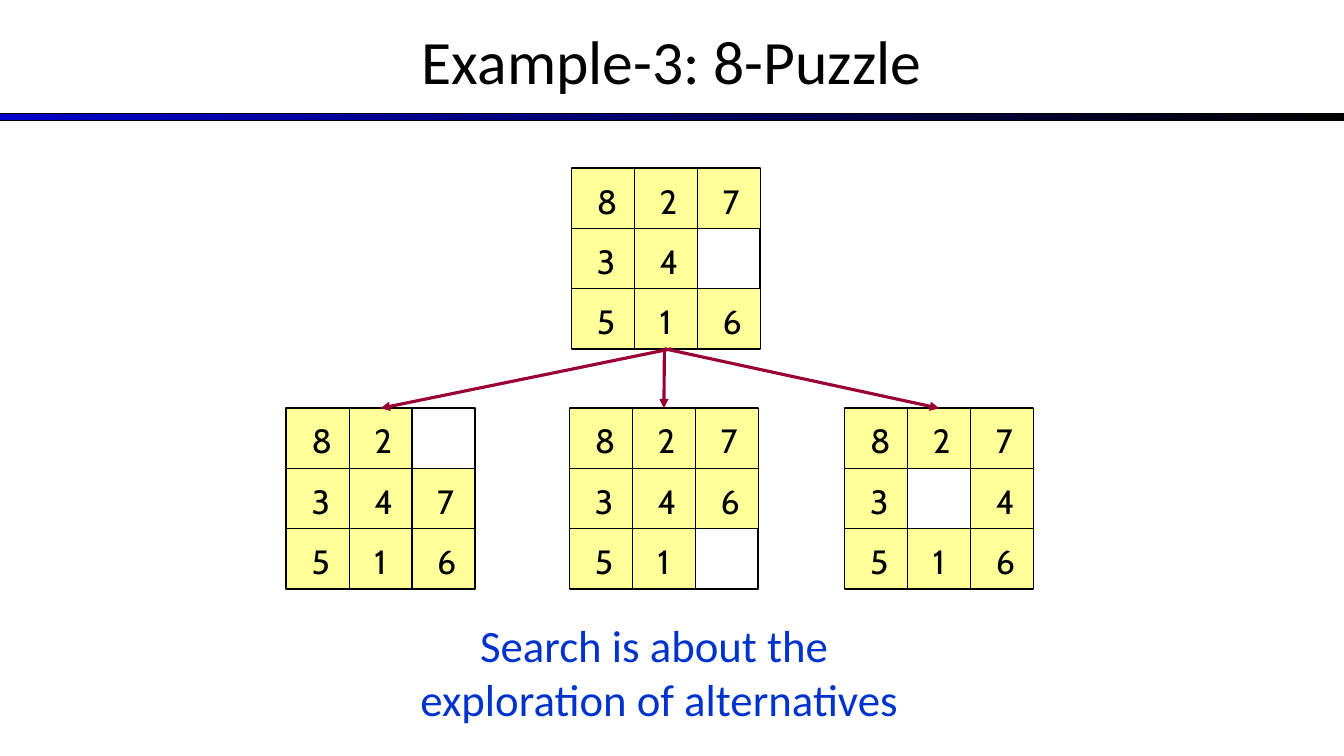
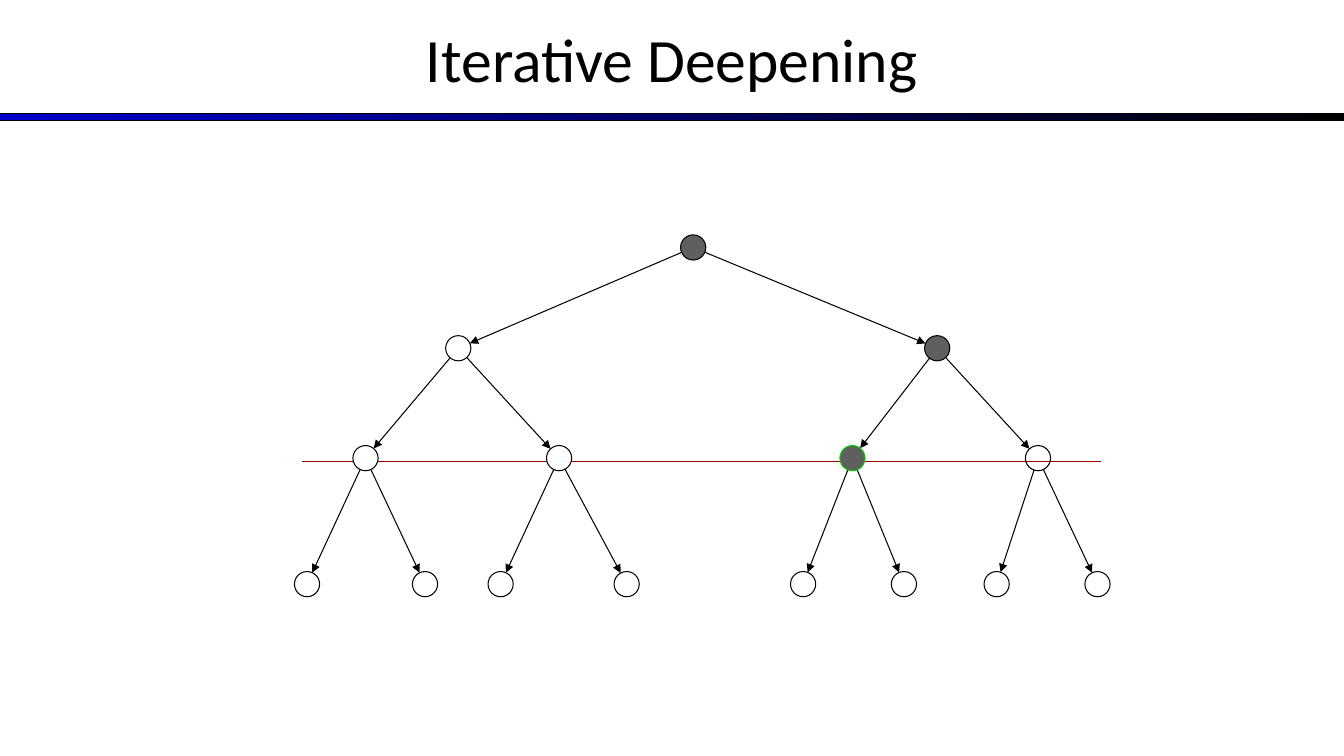
from dataclasses import dataclass
from math import hypot
from typing import NamedTuple, Optional

from lxml.etree import SubElement
from pptx import Presentation
from pptx.dml.color import RGBColor
from pptx.enum.shapes import MSO_CONNECTOR, MSO_SHAPE
from pptx.enum.text import MSO_ANCHOR, PP_ALIGN
from pptx.oxml.ns import qn
from pptx.util import Inches, Pt

COLORS = {
    "black": "000000",
    "white": "FFFFFF",
    "band": "0000CC",
    "tile": "FFFF99",
    "move": "990033",
    "message": "0033CC",
    "visited": "5F5F5F",
    "goal": "00CC00",
    "limit": "990000",
}
SLIDE_W, SLIDE_H = 13.33, 7.5
BOARD_W, BOARD_H = 1.87, 1.79
TILE_W, TILE_H = BOARD_W / 3, BOARD_H / 3
NODE_SIZE = 0.25
LEVEL_TOPS = (2.33, 3.33, 4.42, 5.67)


class Point(NamedTuple):
    x: float
    y: float


@dataclass
class Board:
    left: float
    top: float
    rows: tuple[str, str, str]
    arrow_from: Optional[float] = None


@dataclass
class Node:
    left: float
    fill: Optional[str] = "white"
    line: str = "black"


BOARDS = (
    Board(5.67, 1.67, ("827", "34 ", "516")),
    Board(2.84, 4.05, ("82 ", "347", "516"), 6.66),
    Board(5.65, 4.05, ("827", "346", "51 "), 6.59),
    Board(8.38, 4.05, ("827", "3 4", "516"), 6.59),
)
TREE = (
    Node(6.75, "visited"),
    Node(4.42), Node(9.17, "visited"),
    Node(3.5), Node(5.42), Node(8.33, "visited", "goal"), Node(10.17, None),
    Node(2.92), Node(4.09), Node(4.84), Node(6.09),
    Node(7.84), Node(8.84), Node(9.76), Node(10.76),
)


def rgb(name: str) -> RGBColor:
    return RGBColor.from_string(COLORS[name])


def add_box(s, kind, left: float, top: float, width: float, height: float,
            fill: Optional[str], line: str = "black", weight: float = 0.75):
    sp = s.shapes.add_shape(kind, Inches(left), Inches(top), Inches(width), Inches(height))
    sp.shadow.inherit = False
    if fill:
        sp.fill.solid()
        sp.fill.fore_color.rgb = rgb(fill)
    else:
        sp.fill.background()
    sp.line.color.rgb = rgb(line)
    sp.line.width = Pt(weight)
    return sp


def add_line(s, start: Point, end: Point, color: str, weight: float = 0.75,
             arrow: bool = True) -> None:
    line = s.shapes.add_connector(MSO_CONNECTOR.STRAIGHT, Inches(start.x), Inches(start.y),
                                  Inches(end.x), Inches(end.y))
    line.line.color.rgb = rgb(color)
    line.line.width = Pt(weight)
    if arrow:
        SubElement(line.line._get_or_add_ln(), qn("a:tailEnd"), type="triangle")
    SubElement(line._element.spPr, qn("a:effectLst"))


def write(tf, text: str, font: str, size: int, color: str, align: PP_ALIGN) -> None:
    p = tf.paragraphs[0]
    p.text = text
    p.alignment = align
    p.font.name = font
    p.font.size = Pt(size)
    p.font.color.rgb = rgb(color)


def add_text(s, left: float, top: float, width: float, height: float, text: str,
             size: int, color: str, anchor: MSO_ANCHOR) -> None:
    tf = s.shapes.add_textbox(Inches(left), Inches(top), Inches(width), Inches(height)).text_frame
    tf.word_wrap = True
    tf.vertical_anchor = anchor
    write(tf, text, "Calibri", size, color, PP_ALIGN.CENTER)


def add_titled_slide(prs, title: str, title_top: float):
    s = prs.slides.add_slide(prs.slide_layouts[6])
    band = add_box(s, MSO_SHAPE.RECTANGLE, 0, 1.13, SLIDE_W, 0.07, "band")
    band.fill.gradient()
    band.fill.gradient_angle = 0
    for stop, color, position in zip(band.fill.gradient_stops, ("band", "black"), (0, 1)):
        stop.color.rgb = rgb(color)
        stop.position = position
    add_text(s, 0, title_top, SLIDE_W, 1.25, title, 44, "black", MSO_ANCHOR.MIDDLE)
    return s


def add_board(s, board: Board) -> None:
    add_box(s, MSO_SHAPE.RECTANGLE, board.left, board.top, BOARD_W, BOARD_H, None, weight=1.5)
    for row, digits in enumerate(board.rows):
        for col, digit in enumerate(digits):
            if digit == " ":
                continue
            sp = add_box(s, MSO_SHAPE.RECTANGLE, board.left + col * TILE_W,
                         board.top + row * TILE_H, TILE_W, TILE_H, "tile")
            tf = sp.text_frame
            tf.vertical_anchor = MSO_ANCHOR.TOP
            tf.margin_left, tf.margin_top = Inches(0.25), Inches(0.12)
            tf.margin_right = tf.margin_bottom = 0
            write(tf, digit, "Cabin", 24, "black", PP_ALIGN.LEFT)


def add_edge(s, parent: Point, child: Point) -> None:
    dx, dy = child.x - parent.x, child.y - parent.y
    scale = NODE_SIZE / 2 / hypot(dx, dy)
    add_line(s, Point(parent.x + dx * scale, parent.y + dy * scale),
             Point(child.x - dx * scale, child.y - dy * scale), "black")


def build_puzzle(prs) -> None:
    s = add_titled_slide(prs, "Example-3: 8-Puzzle", -0.03)
    for board in BOARDS:
        add_board(s, board)
    for board in BOARDS[1:]:
        add_line(s, Point(board.arrow_from, BOARDS[0].top + BOARD_H),
                 Point(board.left + BOARD_W / 2, board.top), "move", 2.25)
    add_text(s, 3.51, 6.08, 6.06, 1.16, "Search is about the \vexploration of alternatives",
             32, "message", MSO_ANCHOR.TOP)


def build_tree(prs) -> None:
    s = add_titled_slide(prs, "Iterative Deepening", -0.05)
    tops = [LEVEL_TOPS[(i + 1).bit_length() - 1] for i in range(len(TREE))]
    centers = [Point(node.left + NODE_SIZE / 2, top + NODE_SIZE / 2)
               for node, top in zip(TREE, tops)]
    for i in range(1, len(TREE)):
        add_edge(s, centers[(i - 1) // 2], centers[i])
    add_line(s, Point(3, 4.58), Point(10.92, 4.58), "limit", arrow=False)
    for node, top in zip(TREE, tops):
        add_box(s, MSO_SHAPE.OVAL, node.left, top, NODE_SIZE, NODE_SIZE, node.fill, node.line)


def main() -> None:
    prs = Presentation()
    prs.slide_width, prs.slide_height = Inches(SLIDE_W), Inches(SLIDE_H)
    build_puzzle(prs)
    build_tree(prs)
    prs.save("out.pptx")


if __name__ == "__main__":
    main()
